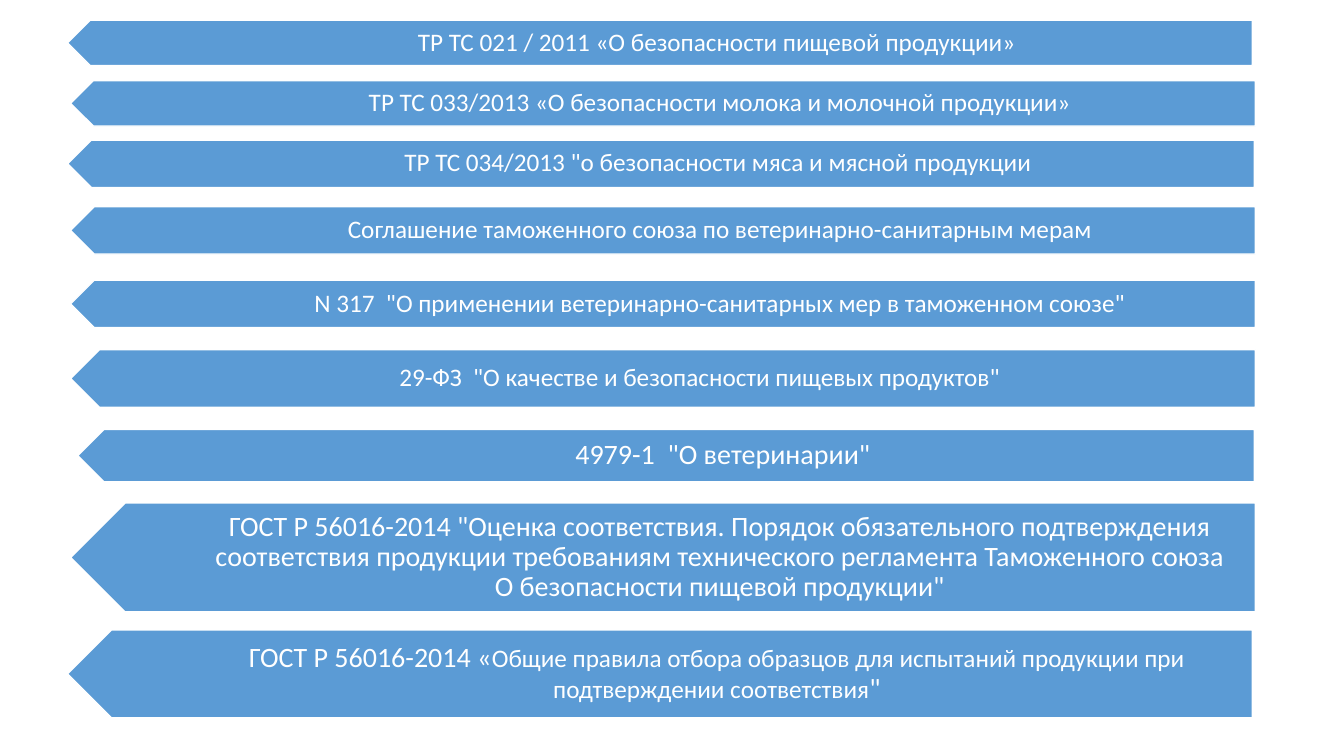
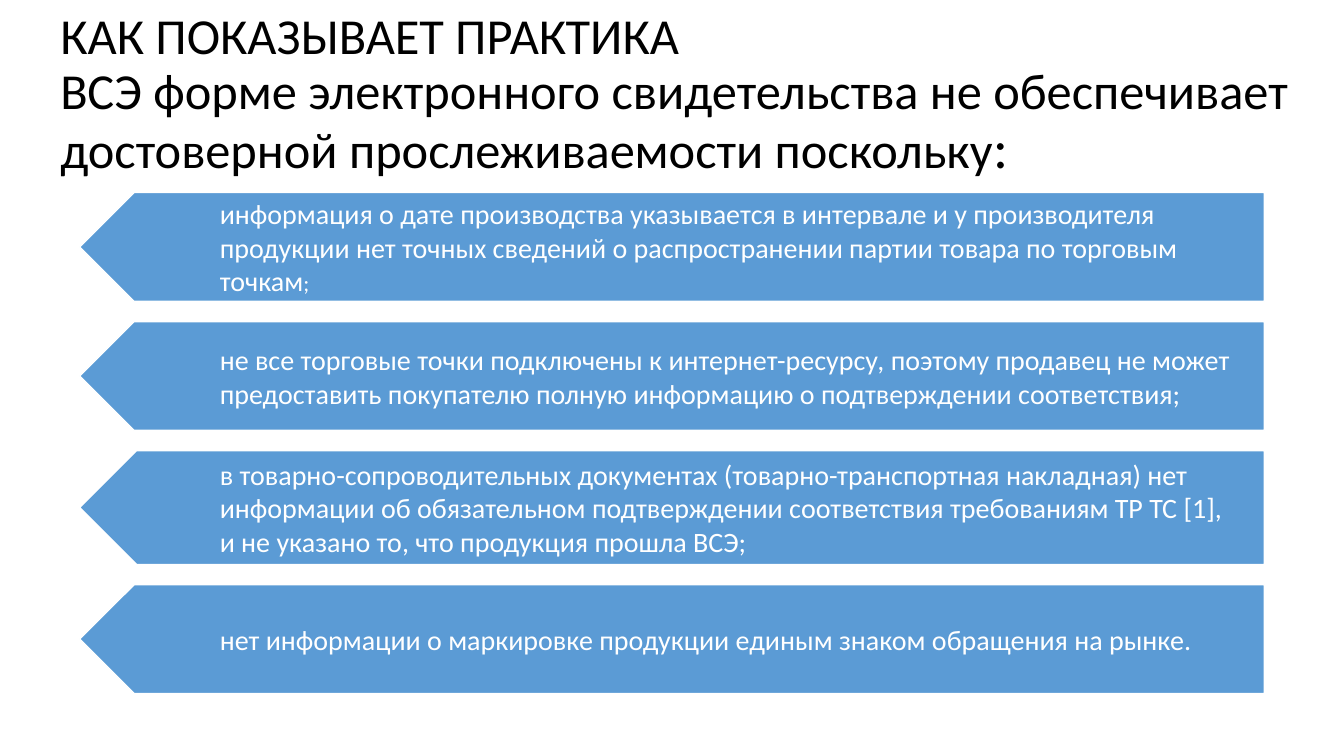
from pptx import Presentation
from pptx.dml.color import RGBColor
from pptx.enum.shapes import MSO_SHAPE as Shape
from pptx.enum.text import MSO_ANCHOR as Anchor, PP_ALIGN as Align
from pptx.util import Inches, Pt

FONT = "Calibri"
BLUE, WHITE, BLACK = "5B9BD5", "FFFFFF", "000000"
BAR_WIDTH = 11.75
TEXT_OFFSET = 0.55
TEXT_INSETS = (0.84, 0.14, 0.26, 0.14)
TITLE_INSETS = (0.1, 0.05, 0.1, 0.05)

REGULATIONS = [
    (0.67, 0.2, BAR_WIDTH, 0.45, [("ТР ТС 021 / 2011 «О безопасности пищевой продукции»", 18)]),
    (0.7, 0.8, BAR_WIDTH, 0.45, [("ТР ТС 033/2013 «О безопасности молока и молочной продукции»", 18)]),
    (0.67, 1.39, 11.77, 0.47, [("ТР ТС 034/2013 \"о безопасности мяса и мясной продукции", 18)]),
    (0.7, 2.05, BAR_WIDTH, 0.47, [("Соглашение таможенного союза по ветеринарно-санитарным мерам", 18)]),
    (0.7, 2.78, BAR_WIDTH, 0.47,
     [("N 317  \"О применении ветеринарно-санитарных мер в таможенном союзе\"", 18)]),
    (0.7, 3.47, BAR_WIDTH, 0.57, [("29-ФЗ  \"О качестве и безопасности пищевых продуктов\"", 18)],
     0.25, (0.62, 0.07, 0.14, 0.07)),
    (0.77, 4.26, 11.67, 0.52, [("4979-1  \"О ветеринарии\"", 20)]),
    (0.7, 4.99, BAR_WIDTH, 1.08,
     [("ГОСТ Р 56016-2014 \"Оценка соответствия. Порядок обязательного подтверждения "
       "соответствия продукции требованиям технического регламента Таможенного союза "
       "О безопасности пищевой продукции\"", 20)]),
    (0.67, 6.25, BAR_WIDTH, 0.87,
     [("ГОСТ Р 56016-2014 «", 20),
      ("Общие правила отбора образцов для испытаний продукции при подтверждении соответствия", 18),
      ("\"", 20)]),
]

TITLE_LINES = [
    [("КАК ПОКАЗЫВАЕТ ПРАКТИКА", 36)],
    [("ВСЭ форме электронного свидетельства не обеспечивает "
      "достоверной прослеживаемости поскольку", 36), (":", 40)],
]

REASONS = [
    (1.08, [("информация о дате производства указывается в интервале и у производителя "
             "продукции нет точных сведений о распространении партии товара по торговым точкам", 20),
            (";", 16)]),
    (1.08, [("не все торговые точки подключены к интернет-ресурсу, поэтому продавец не может "
             "предоставить покупателю полную информацию о подтверждении соответствия;", 20)]),
    (1.13, [("в товарно-сопроводительных документах (товарно-транспортная накладная) нет "
             "информации об обязательном подтверждении соответствия требованиям ТР ТС [1], "
             "и не указано то, что продукция прошла ВСЭ;", 20)]),
    (1.08, [("нет информации о маркировке продукции единым знаком обращения на рынке.", 20)]),
]


def color(value):
    """Turn a hex string into a colour."""
    return RGBColor.from_string(value)


def add_text(page, left, top, width, height, lines, ink, insets, align=Align.LEFT, spacing=1.0):
    """Place one paragraph of sized spans, with breaks between its lines."""
    box = page.shapes.add_textbox(Inches(left), Inches(top), Inches(width), Inches(height))
    frame = box.text_frame
    frame.word_wrap = True
    frame.vertical_anchor = Anchor.MIDDLE
    (frame.margin_left, frame.margin_top,
     frame.margin_right, frame.margin_bottom) = map(Inches, insets)
    para = frame.paragraphs[0]
    para.alignment, para.line_spacing = align, spacing
    para.font.name = FONT
    para.font.color.rgb = color(ink)
    for index, spans in enumerate(lines):
        if index:
            para.add_line_break()
        for text, size in spans:
            span = para.add_run()
            span.text = text
            span.font.size = Pt(size)
            span.font.name = FONT
            span.font.color.rgb = color(ink)
    return para


def add_bar(page, left, top, width, height, spans, offset=TEXT_OFFSET, insets=TEXT_INSETS,
            align=Align.LEFT, spacing=1.0):
    """Draw a left-pointing bar with its text."""
    bar = page.shapes.add_shape(Shape.PENTAGON, Inches(left), Inches(top),
                                Inches(width), Inches(height))
    bar.rotation = 180
    bar.shadow.inherit = False
    bar.fill.solid()
    bar.fill.fore_color.rgb = color(BLUE)
    bar.line.color.rgb = color(WHITE)
    bar.line.width = Pt(1)
    add_text(page, left + offset, top, width - offset, height, [spans], WHITE,
             insets, align, spacing)


def build_regulations(page):
    """Stack the bars naming the regulations."""
    for regulation in REGULATIONS:
        add_bar(page, *regulation, align=Align.CENTER, spacing=0.9)


def build_reasons(page, left=0.79, top=1.91, gap=0.2):
    """Place the title and an evenly spaced stack of reasons."""
    title = add_text(page, 0.5, -0.09, 12.83, 2.08, TITLE_LINES, BLACK, TITLE_INSETS, spacing=0.9)
    title.space_before = Pt(6)
    for height, spans in REASONS:
        add_bar(page, left, top, BAR_WIDTH, height, spans)
        top += height + gap


def main():
    """Build and save the deck."""
    deck = Presentation()
    deck.slide_width, deck.slide_height = Inches(13.33), Inches(7.5)
    for build in (build_regulations, build_reasons):
        build(deck.slides.add_slide(deck.slide_layouts[6]))
    deck.save("out.pptx")


if __name__ == "__main__":
    main()
